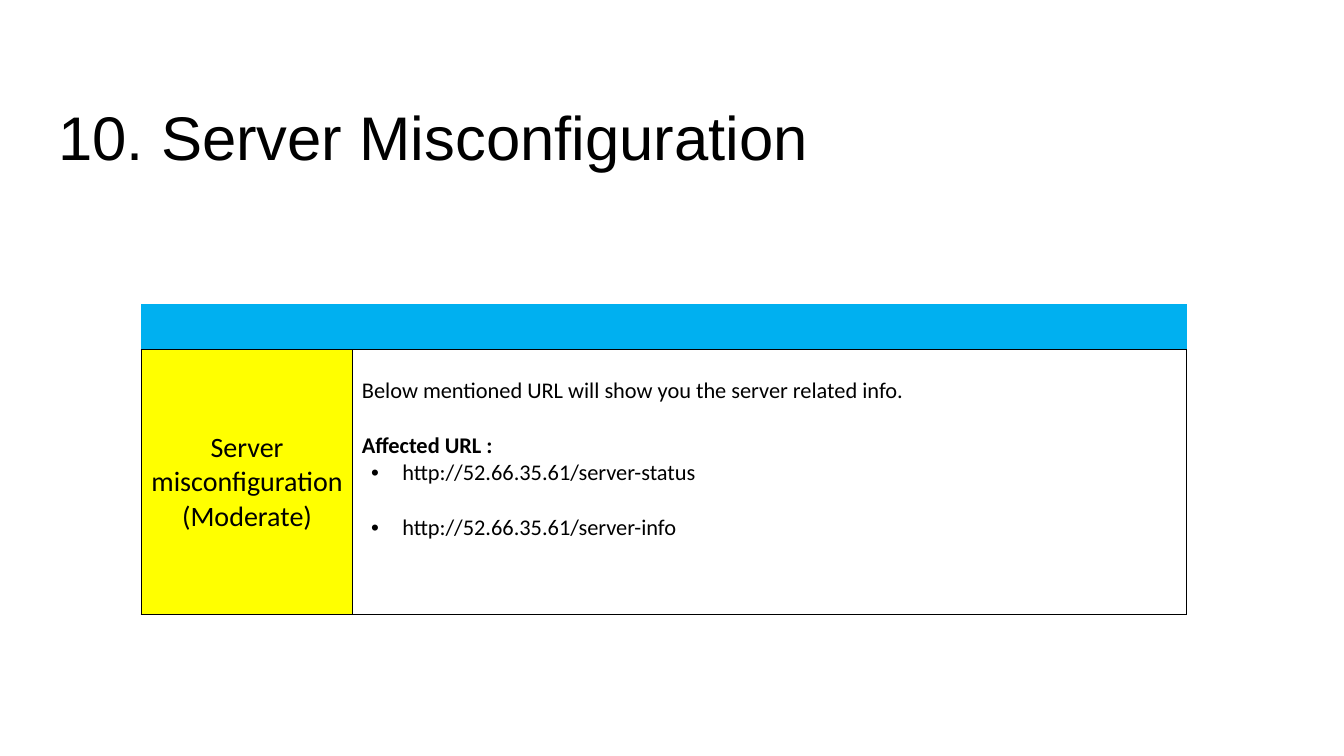
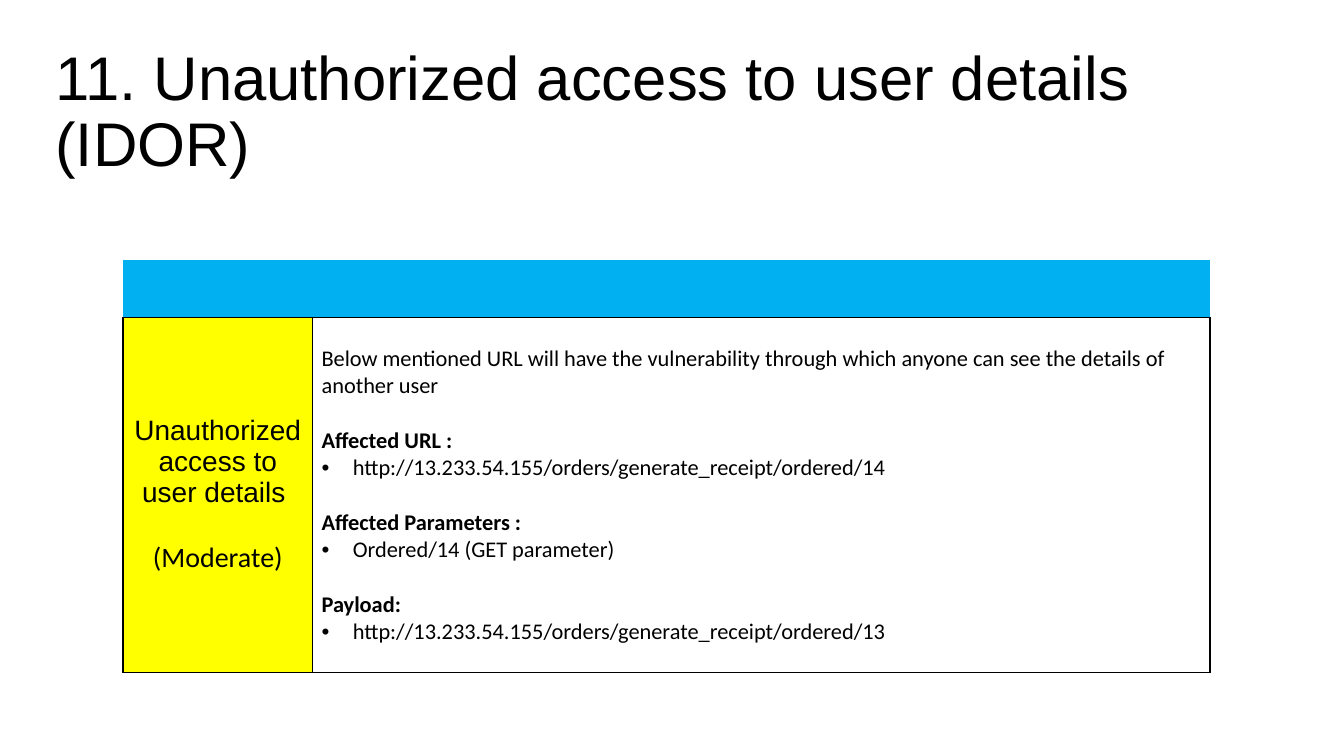
import dataclasses

import pptx
import pptx.dml.color
import pptx.enum.text
import pptx.oxml
import pptx.oxml.ns
import pptx.util

Inches = pptx.util.Inches
Pt = pptx.util.Pt
Align = pptx.enum.text.PP_ALIGN
Anchor = pptx.enum.text.MSO_ANCHOR


@dataclasses.dataclass(frozen=True)
class Theme:
    """Colours, fonts and type sizes of the deck."""
    ink: str = "000000"
    band: str = "00B0F0"
    mark: str = "FFFF00"
    paper: str = "FFFFFF"
    head: str = "Arial"
    body: str = "Calibri"
    title: float = 44
    label: float = 20
    text: float = 16
    gap: float = 19.5
    plain: str = "{2D5ABB26-0587-4C30-8999-92F81FD0307C}"


THEME = Theme()


def make(tag, parent, **attrs):
    """Append a drawing element to a parent and return it."""
    node = pptx.oxml.parse_xml(f"<a:{tag} {pptx.oxml.ns.nsdecls('a')}/>")
    for name, value in attrs.items():
        node.set(name, str(value))
    parent.append(node)
    return node


def write(frame, text, first=False, size=THEME.text, font=THEME.body,
          bold=False, align=Align.LEFT, before=0, line=None, indent=None):
    """Write one formatted paragraph into a text frame."""
    para = frame.paragraphs[0] if first else frame.add_paragraph()
    para.alignment = align
    para.space_before = Pt(0 if first else before)
    if line:
        para.line_spacing = line
    if indent is not None:
        props = para._p.get_or_add_pPr()
        props.set("marL", str(Inches(indent)))
        props.set("indent", str(Inches(-0.31)))
        make("buFont", props, typeface="Arial")
        make("buChar", props, char="•")
    run = para.add_run()
    run.text = text
    run.font.size = Pt(size)
    run.font.name = font
    run.font.bold = bold
    run.font.color.rgb = pptx.dml.color.RGBColor.from_string(THEME.ink)


def paint(cell, color):
    """Fill a cell with a solid colour."""
    cell.fill.solid()
    cell.fill.fore_color.rgb = pptx.dml.color.RGBColor.from_string(color)


def edge(cell):
    """Draw a thin line on all four sides of a cell."""
    props = cell._tc.get_or_add_tcPr()
    for side in ("lnL", "lnR", "lnT", "lnB"):
        fill = make("solidFill", make(side, props, w=Pt(1)))
        make("srgbClr", fill, val=THEME.ink)


def pad(cell, top=0.05):
    """Set the margins of a cell."""
    cell.margin_left = cell.margin_right = Inches(0.09)
    cell.margin_top, cell.margin_bottom = Inches(top), Inches(0.05)


def head(slide, box, text):
    """Place the slide title in its box."""
    title = slide.shapes.title
    title.left, title.top, title.width, title.height = map(Inches, box)
    frame = title.text_frame
    frame.word_wrap = True
    frame.auto_size = pptx.enum.text.MSO_AUTO_SIZE.NONE
    frame.vertical_anchor = Anchor.MIDDLE
    write(frame, text, first=True, size=THEME.title, font=THEME.head, line=0.9)


def grid(slide, spot, cols, rows, label, notes):
    """Place the finding table with its band, label and notes."""
    frame = slide.shapes.add_table(
        2, 2, *map(Inches, (*spot, sum(cols), sum(rows))))
    for node in frame.element.iter(pptx.oxml.ns.qn("a:tableStyleId")):
        node.text = THEME.plain
    table = frame.table
    for col, width in zip(table.columns, cols):
        col.width = Inches(width)
    for row, height in zip(table.rows, rows):
        row.height = Inches(height)
    for cell in table.rows[0].cells:
        paint(cell, THEME.band)
    left, right = table.rows[1].cells
    for cell, color, top, lines in ((left, THEME.mark, 0.05, label),
                                    (right, THEME.paper, 0.27, notes)):
        edge(cell)
        paint(cell, color)
        pad(cell, top)
        for index, (text, style) in enumerate(lines):
            write(cell.text_frame, text, first=index == 0, **style)
    left.vertical_anchor = Anchor.MIDDLE


def tag(text, **style):
    """Return a centred label line."""
    return text, dict(size=THEME.label, align=Align.CENTER, **style)


def topic(text):
    """Return a bold heading line set off from the one above."""
    return text, dict(bold=True, before=THEME.gap)


def item(text, indent=0.31, before=0):
    """Return a bulleted line."""
    return text, dict(indent=indent, before=before)


PAGES = (
    dict(
        title="10. Server Misconfiguration",
        box=(0.48, 0.67, 12.01, 1.45),
        spot=(1.4, 3.02), cols=(2.1, 8.27), rows=(0.45, 2.63),
        label=(tag("Server misconfiguration"), tag("(Moderate)")),
        notes=(
            ("Below mentioned URL will show you the server related info.", {}),
            topic("Affected URL :"),
            item("http://52.66.35.61/server-status", indent=0.4),
            item("http://52.66.35.61/server-info", indent=0.4,
                 before=THEME.gap),
        ),
    ),
    dict(
        title="11. Unauthorized access to user details (IDOR)",
        box=(0.45, 0.4, 11.97, 1.45),
        spot=(1.22, 2.58), cols=(1.88, 8.9), rows=(0.57, 3.52),
        label=(
            tag("Unauthorized access to user details ", font=THEME.head),
            tag("(Moderate)", before=23),
        ),
        notes=(
            ("Below mentioned URL will have the vulnerability through which "
             "anyone can see the details of another user", {}),
            topic("Affected URL :"),
            item("http://13.233.54.155/orders/generate_receipt/ordered/14"),
            topic("Affected Parameters :"),
            item("Ordered/14 (GET parameter)"),
            topic("Payload:"),
            item("http://13.233.54.155/orders/generate_receipt/ordered/13"),
        ),
    ),
)


def page(deck, title, box, **parts):
    """Add one finding slide."""
    slide = deck.slides.add_slide(deck.slide_layouts[5])
    head(slide, box, title)
    grid(slide, **parts)


def main():
    """Build and save the deck."""
    deck = pptx.Presentation()
    deck.slide_width, deck.slide_height = Inches(13.33), Inches(7.5)
    for parts in PAGES:
        page(deck, **parts)
    deck.save("out.pptx")


if __name__ == "__main__":
    main()
